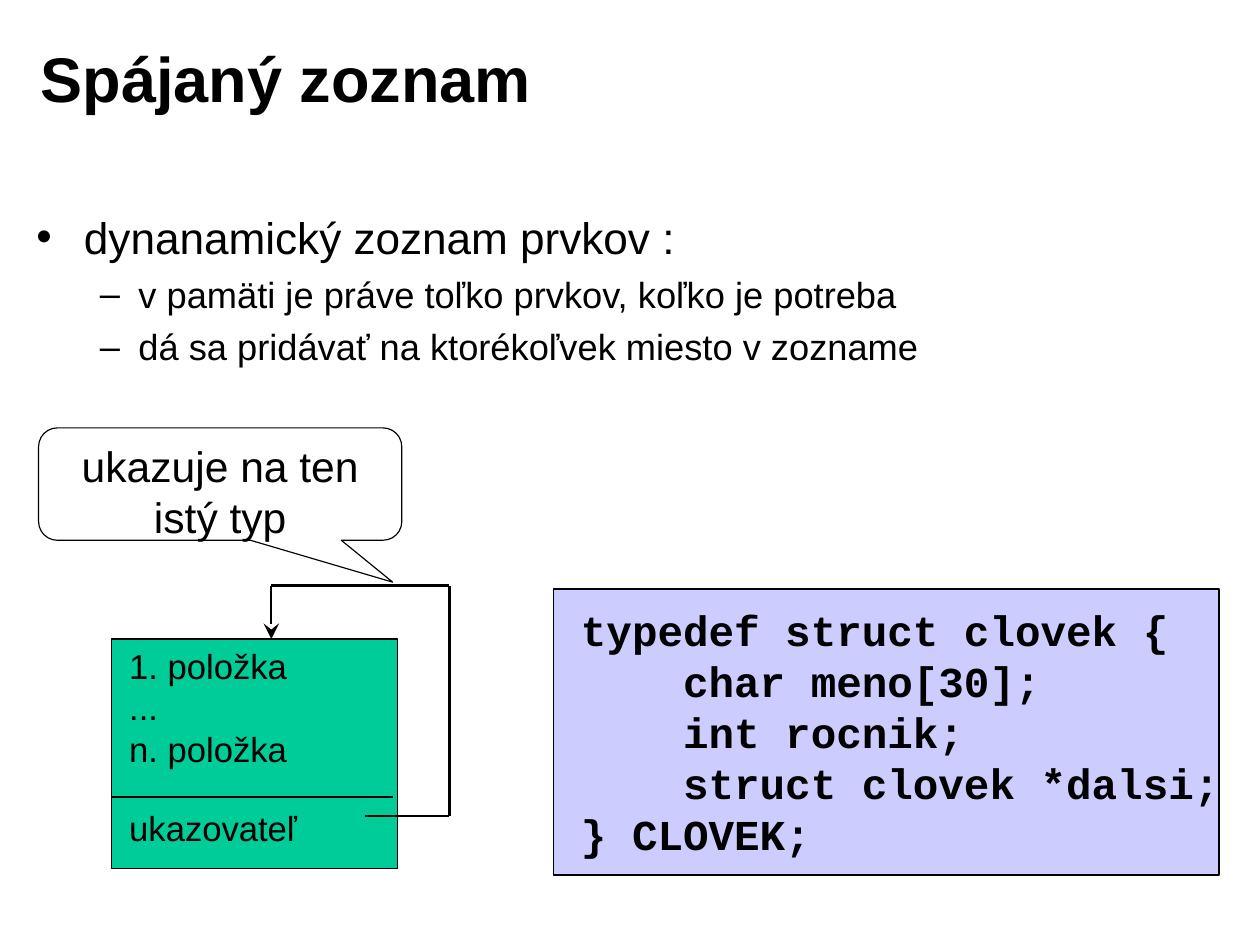
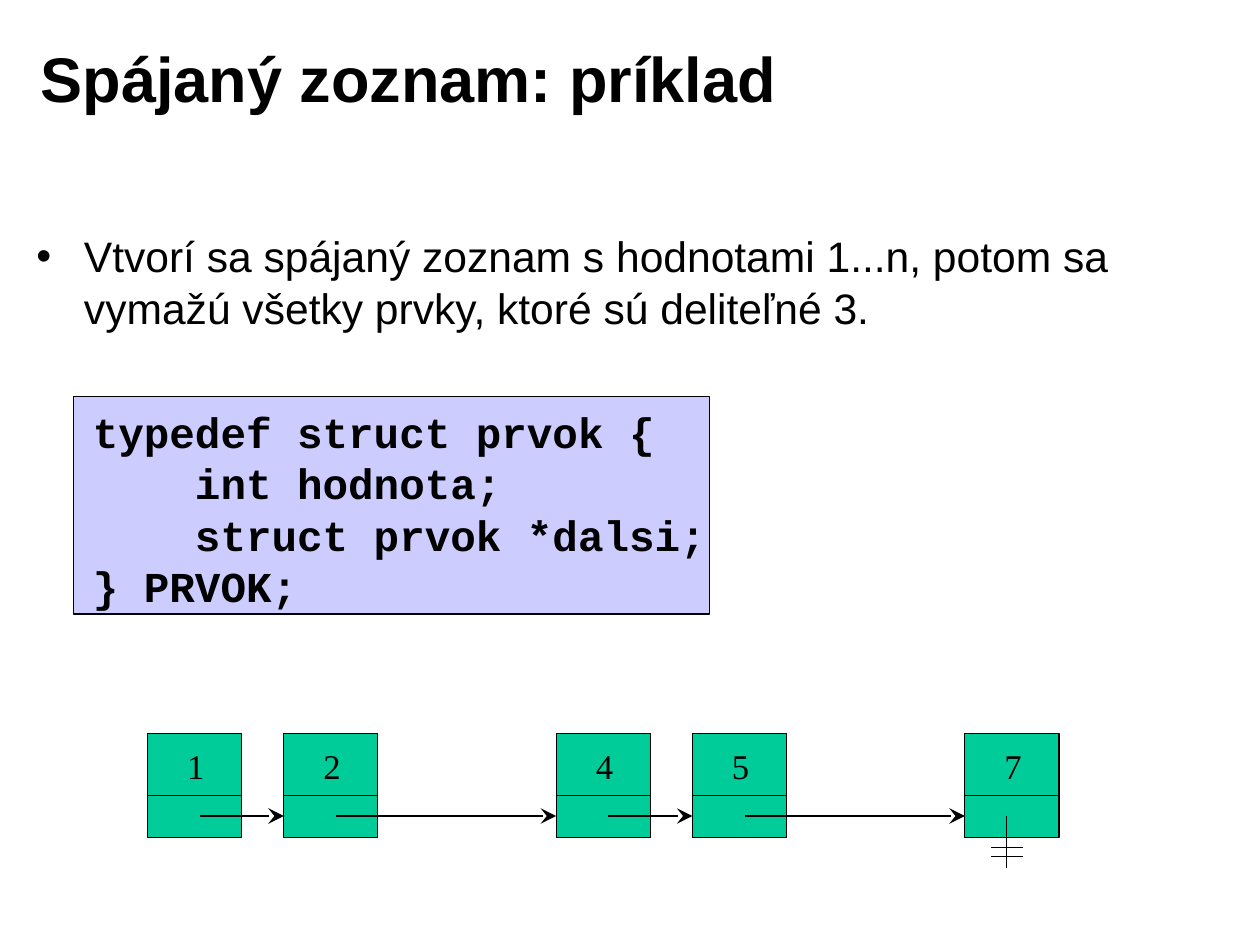
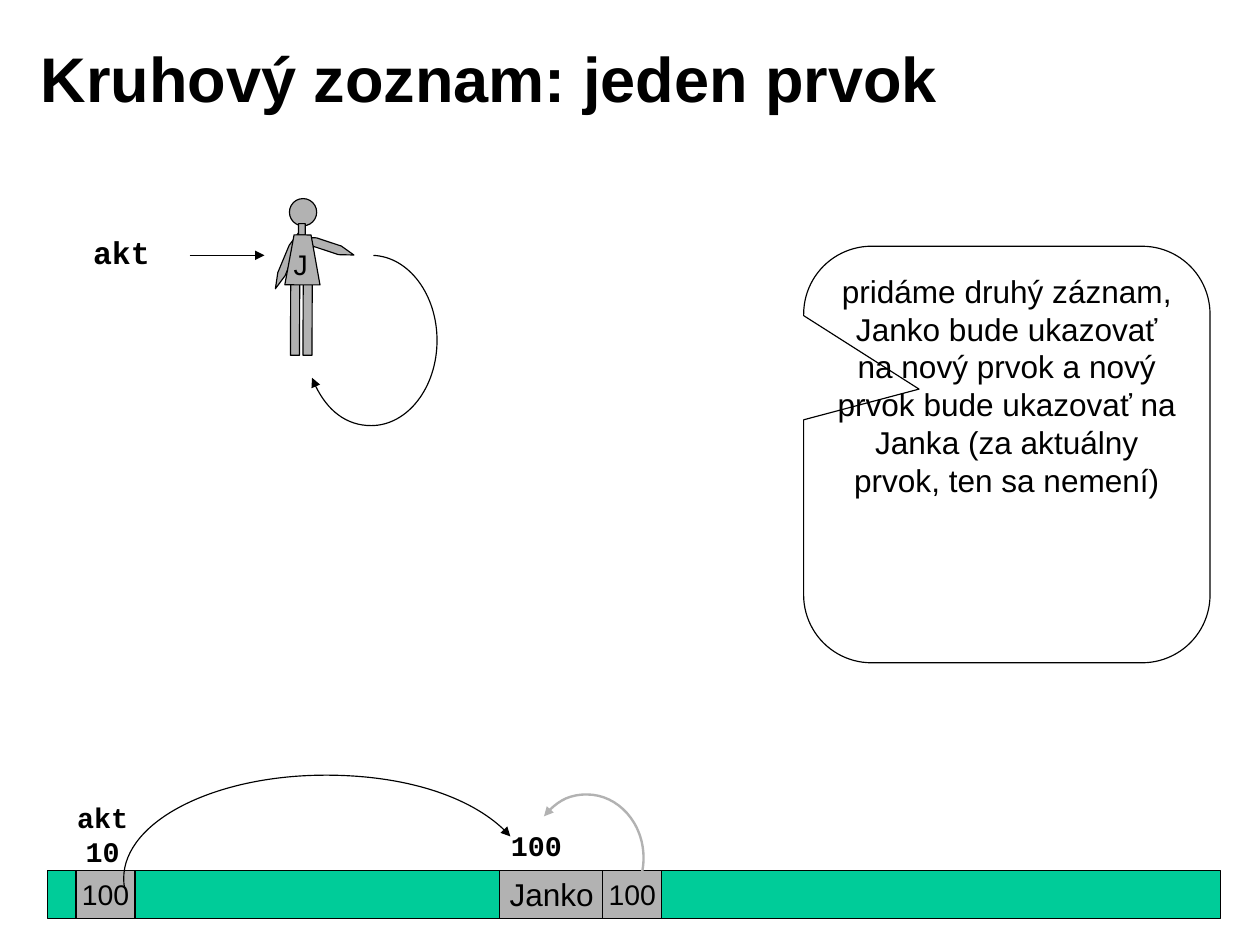
from collections import namedtuple
from dataclasses import dataclass
from itertools import pairwise
from math import ceil, cos, floor, radians, sin, tan

from lxml import etree
from pptx import Presentation
from pptx.dml.color import RGBColor
from pptx.enum import shapes, text
from pptx.oxml import ns
from pptx.util import Inches, Pt

Box = namedtuple("Box", "left top width height")
SHAPE = shapes.MSO_SHAPE
ALIGN = text.PP_ALIGN
ANCHOR = text.MSO_ANCHOR


def font(name, size, bold=False):
    return {"name": name, "size": Pt(size), "bold": bold}


@dataclass(frozen=True)
class Theme:
    ink = RGBColor(0, 0, 0)
    paper = RGBColor(255, 255, 255)
    green = RGBColor(0x00, 0xCC, 0x99)
    lilac = RGBColor(0xCC, 0xCC, 0xFF)
    grey = RGBColor(0xB2, 0xB2, 0xB2)
    thin, medium, thick = 0.75, 1, 1.5
    title = font("Arial", 40, True)
    body = font("Arial", 28)
    large = font("Arial", 27)
    sub_body = font("Arial", 23)
    item = font("Arial", 22)
    note = font("Arial", 20)
    cell = font("Arial", 18)
    digit = font("Times New Roman", 22)
    code = font("Courier New", 27, True)
    variable = font("Courier New", 20, True)
    address = font("Courier New", 18, True)


THEME = Theme()
TITLE_BOX = Box(0.25, 0.17, 8.91, 1.02)
LEVELS = [("•", 0.42, 0.42, 7), ("–", 0.9, 0.34, 5.8)]  # mark, margin, hang, space before


def set_values(target, values):
    for name, value in values.items():
        setattr(target, name, value)


def place(shape, box):
    set_values(shape, {name: Inches(value) for name, value in box._asdict().items()})


def style_font(paragraph, style):
    set_values(paragraph.font, style)
    paragraph.font.color.rgb = THEME.ink


def write(shape, lines, style, align=ALIGN.LEFT, anchor=ANCHOR.TOP,
          insets=(0.1, 0.05, 0.1, 0.05), wrap=True):
    """Fill a shape with one paragraph a line; insets run left, top, right, bottom."""
    frame = shape.text_frame
    left, top, right, bottom = map(Inches, insets)
    set_values(frame, {
        "text": "\n".join(lines), "auto_size": text.MSO_AUTO_SIZE.NONE,
        "word_wrap": wrap, "vertical_anchor": anchor, "margin_left": left,
        "margin_top": top, "margin_right": right, "margin_bottom": bottom})
    for paragraph in frame.paragraphs:
        paragraph.alignment = align
        style_font(paragraph, style)


def add_label(slide, box, lines, style, **options):
    label = slide.shapes.add_textbox(*map(Inches, box))
    write(label, lines, style, **options)
    return label


def paint(shape, fill, line=THEME.ink, width=THEME.thin):
    shape.shadow.inherit = False
    if fill is None:
        shape.fill.background()
    else:
        shape.fill.solid()
        shape.fill.fore_color.rgb = fill
    shape.line.color.rgb = line
    shape.line.width = Pt(width)


def add_block(slide, box, fill, kind=SHAPE.RECTANGLE, line=THEME.ink):
    block = slide.shapes.add_shape(kind, *map(Inches, box))
    paint(block, fill, line)
    return block


def add_arrowhead(shape, head):
    size = "lg" if head == "stealth" else "med"
    outline = shape.element.spPr.find(ns.qn("a:ln"))
    etree.SubElement(outline, ns.qn("a:tailEnd"), type=head, w=size, len=size)


def add_line(slide, start, end, width=THEME.thin, head=None):
    line = slide.shapes.add_connector(
        shapes.MSO_CONNECTOR.STRAIGHT, *map(Inches, (*start, *end)))
    line.line.color.rgb = THEME.ink
    line.line.width = Pt(width)
    if head:
        add_arrowhead(line, head)
    etree.SubElement(line.element.spPr, ns.qn("a:effectLst"))


def add_outline(slide, points, close):
    corners = [(Inches(x), Inches(y)) for x, y in points]
    builder = slide.shapes.build_freeform(*corners[0])
    builder.add_line_segments(corners[1:], close=close)
    return builder.convert_to_shape()


def arc_points(center, radius, start, end):
    """Give the start and then the three Bézier points of each part of a quadrant."""
    low, high = sorted((start, end))
    quadrants = [90 * i for i in range(floor(low / 90) + 1, ceil(high / 90))]
    stops = sorted([low, *quadrants, high], reverse=start > end)

    def point(angle, pull=0):
        x, y = cos(angle) - pull * sin(angle), sin(angle) + pull * cos(angle)
        return center[0] + radius[0] * x, center[1] + radius[1] * y

    points = [point(radians(start))]
    for first, last in pairwise(map(radians, stops)):
        pull = 4 / 3 * tan((last - first) / 4)
        points += [point(first, pull), point(last, -pull), point(last)]
    return points


def curve_segments(shape):
    """Join every three straight segments of an outline into one Bézier curve."""
    segments = list(shape.element.iter(ns.qn("a:lnTo")))
    for first in range(0, len(segments), 3):
        curve = etree.Element(ns.qn("a:cubicBezTo"))
        segments[first].addprevious(curve)
        for segment in segments[first:first + 3]:
            curve.append(segment[0])
            segment.getparent().remove(segment)


def add_arc_arrow(slide, center, radius, start, end, color=THEME.ink, width=THEME.thin):
    """Draw part of an ellipse; angles in degrees, clockwise from the right."""
    arc = add_outline(slide, arc_points(center, radius, start, end), close=False)
    curve_segments(arc)
    paint(arc, None, color, width)
    add_arrowhead(arc, "triangle")


def add_callout(slide, box, message, style, pointer, insets):
    callout = add_block(slide, box, THEME.paper, SHAPE.ROUNDED_RECTANGULAR_CALLOUT)
    for index, value in enumerate((*pointer, 0.167)):
        callout.adjustments[index] = value
    write(callout, [message], style, align=ALIGN.CENTER, insets=insets)


def add_code_panel(slide, box, lines, offset):
    add_block(slide, box, THEME.lilac)
    code_box = box._replace(left=box.left + offset[0], top=box.top + offset[1])
    add_label(slide, code_box, lines, THEME.code, insets=(0.1, 0.05, 0, 0.05))


def add_titled_slide(presentation, title, layout="Title Only"):
    slide = presentation.slides.add_slide(presentation.slide_layouts.get_by_name(layout))
    write(slide.shapes.title, [title], THEME.title, anchor=ANCHOR.MIDDLE,
          insets=(0.11, 0.06, 0.11, 0.06))
    return slide


def fill_list(slide, box, entries):
    """Write (level, wording, style) entries into the body placeholder."""
    body = slide.placeholders[1]
    place(body, box)
    write(body, [wording for _, wording, _ in entries], THEME.body,
          insets=(0.11, 0.06, 0.11, 0.06))
    for index, (level, _, style) in enumerate(entries):
        mark, margin, hang, space = LEVELS[level]
        paragraph = body.text_frame.paragraphs[index]
        paragraph.level = level
        paragraph.space_before = Pt(space if index else 0)
        properties = paragraph._p.get_or_add_pPr()
        properties.set("marL", str(Inches(margin)))
        properties.set("indent", str(-Inches(hang)))
        etree.SubElement(properties, ns.qn("a:buFont"), typeface="Arial")
        etree.SubElement(properties, ns.qn("a:buChar"), char=mark)
        style_font(paragraph, style)


def add_record(slide, box):
    """Draw a record whose pointer leads back to its own top."""
    add_block(slide, box, THEME.green)
    divider, text_left = box.top + 1.39, box.left + 0.06
    add_line(slide, (box.left, divider), (box.left + 2.48, divider), THEME.thick)
    add_label(slide, Box(text_left, divider + 0.04, 1.77, 0.47), ["ukazovateľ"],
              THEME.item)
    add_label(slide, Box(text_left, box.top, 1.71, 1.2),
              ["1. položka", "...", "n. položka"], THEME.item)
    right, above, target = box.left + 2.98, box.top - 0.47, box.left + 1.41
    pointer = box.top + 1.56
    route = [(box.left + 2.24, pointer), (right, pointer), (right, above),
             (target, above), (target, box.top)]
    for start, end in pairwise(route):
        add_line(slide, start, end, THEME.thick, "stealth" if end == route[-1] else None)


def add_chain(slide, box, pitch, count, removed):
    """Draw a chain of count nodes, box being the first, and bridge the removed ones."""
    lefts = [box.left + pitch * slot for slot in range(count)]
    divider, pointer = box.top + 0.55, box.top + 0.73
    for value, left in enumerate(lefts, start=1):
        if value not in removed:
            add_block(slide, box._replace(left=left), THEME.green)
            add_line(slide, (left, divider), (left + box.width, divider))
            digit = add_label(slide, Box(left + 0.25, box.top + 0.05, 0.35, 0.47),
                              [str(value)], THEME.digit, wrap=False)
            digit.fill.solid()
            digit.fill.fore_color.rgb = THEME.green
    for left, following in pairwise(lefts):
        add_line(slide, (left + 0.46, pointer), (following, pointer),
                 THEME.medium, "stealth")
    end = lefts[-1] + 0.37
    add_line(slide, (end, pointer), (end, pointer + 0.46))
    for drop in (0.28, 0.36):
        add_line(slide, (end - 0.14, pointer + drop), (end + 0.14, pointer + drop))
    for value in removed:
        left = lefts[value - 1] - 0.2
        add_block(slide, Box(left, box.top - 0.47, 1.2, 1.84), THEME.paper,
                  line=THEME.paper)
        add_line(slide, (left - 0.1, pointer), (left + 1.28, pointer))


def add_person(slide, left, top):
    parts = [
        (SHAPE.HEXAGON, Box(0, 0.51, 0.54, 0.07), 292.6, 1.99),
        (SHAPE.HEXAGON, Box(0.38, 0.38, 0.49, 0.08), 18.3, 1.62),
        (SHAPE.OVAL, Box(0.29, 0, 0.24, 0.24), 0.2, None),
        (SHAPE.RECTANGLE, Box(0.3, 0.71, 0.08, 0.67), 0.2, None),
        (SHAPE.RECTANGLE, Box(0.41, 0.71, 0.08, 0.67), 0.2, None),
        (SHAPE.RECTANGLE, Box(0.37, 0.22, 0.06, 0.1), 0.2, None),
    ]
    for kind, box, rotation, taper in parts:
        part = add_block(slide, box._replace(left=left + box.left, top=top + box.top),
                         THEME.grey, kind)
        part.rotation = rotation
        if taper:
            part.adjustments[0] = taper
    corners = [(0.25, 0.76), (0.33, 0.32), (0.48, 0.32), (0.56, 0.76)]
    dress = add_outline(slide, [(left + x, top + y) for x, y in corners], close=True)
    paint(dress, THEME.grey)
    dress.rotation = 0.2


def add_memory(slide, box):
    add_block(slide, box, THEME.green)
    cells = [(0.25, 0.52, "100", THEME.cell), (3.98, 0.92, "Janko", THEME.note),
             (4.89, 0.52, "100", THEME.cell)]
    for offset, width, value, style in cells:
        cell = add_block(slide, box._replace(left=box.left + offset, width=width),
                         THEME.grey)
        write(cell, [value], style, align=ALIGN.CENTER, anchor=ANCHOR.MIDDLE, wrap=False)
    labels = [(0.16, -0.67, 0.7, ["akt", "10"]), (3.98, -0.42, 0.4, ["100"])]
    for offset, rise, height, lines in labels:
        add_label(slide, Box(box.left + offset, box.top + rise, 0.65, height), lines,
                  THEME.address, align=ALIGN.CENTER, wrap=False)
    add_arc_arrow(slide, (box.left + 2.45, box.top + 0.07), (1.78, 0.91), 175, 336)
    add_arc_arrow(slide, (box.left + 4.75, box.top - 0.11), (0.5, 0.56), 14.5, -139,
                  THEME.grey, THEME.thick)


def build_list_slide(presentation):
    slide = add_titled_slide(presentation, "Spájaný zoznam", "Title and Content")
    fill_list(slide, Box(0.21, 1.79, 10.66, 2.09), [
        (0, "dynanamický zoznam prvkov :", THEME.body),
        (1, "v pamäti je práve toľko prvkov, koľko je potreba", THEME.sub_body),
        (1, "dá sa pridávať na ktorékoľvek miesto v zozname", THEME.sub_body)])
    add_code_panel(slide, Box(4.88, 5.19, 5.86, 2.52), [
        "typedef struct clovek {", "    char meno[30];", "    int rocnik;",
        "    struct clovek *dalsi;", "} CLOVEK;"], (0.14, 0.08))
    add_record(slide, Box(0.98, 5.63, 2.52, 2.02))
    add_callout(slide, Box(0.34, 3.77, 3.2, 0.99), "ukazuje na ten istý typ",
                THEME.large, (0.475, 0.873), (0.11, 0.06, 0.11, 0.06))


def build_example_slide(presentation):
    slide = add_titled_slide(presentation, "Spájaný zoznam: príklad", "Title and Content")
    add_code_panel(slide, Box(0.65, 3.49, 5.6, 1.92), [
        "typedef struct prvok {", "    int hodnota;", "    struct prvok *dalsi;",
        "} PRVOK;"], (0.07, 0.04))
    fill_list(slide, Box(0.21, 1.97, 10.66, 1.36), [
        (0, "Vtvorí sa spájaný zoznam s hodnotami 1...n, potom sa vymažú všetky "
            "prvky, ktoré sú deliteľné 3.", THEME.large)])
    add_chain(slide, Box(1.3, 6.46, 0.83, 0.92), 1.2, 7, removed=(3, 6))


def build_circular_slide(presentation):
    slide = add_titled_slide(presentation, "Kruhový zoznam: jeden prvok")
    add_person(slide, 2.26, 1.75)
    add_line(slide, (1.67, 2.25), (2.33, 2.25), head="triangle")
    add_label(slide, Box(0.72, 2, 0.7, 0.44), ["akt"], THEME.variable,
              align=ALIGN.CENTER, wrap=False)
    add_memory(slide, Box(0.42, 7.67, 10.33, 0.42))
    add_label(slide, Box(2.49, 2.13, 0.32, 0.4), ["J"], THEME.cell,
              align=ALIGN.CENTER, wrap=False)
    add_callout(slide, Box(7.08, 2.17, 3.58, 3.67),
                "pridáme druhý záznam, Janko bude ukazovať na nový prvok a nový prvok "
                "bude ukazovať na Janka (za aktuálny prvok, ten sa nemení)",
                THEME.note, (-0.216, -0.157), (0.1, 0.05, 0.1, 0.05))
    add_arc_arrow(slide, (3.27, 3), (0.58, 0.75), -88, 154)


def main():
    presentation = Presentation()
    set_values(presentation, {"slide_width": Inches(11.1), "slide_height": Inches(8.3)})
    master_title = next(
        shape for shape in presentation.slide_master.placeholders
        if shape.placeholder_format.type == shapes.PP_PLACEHOLDER.TITLE)
    place(master_title, TITLE_BOX)
    build_list_slide(presentation)
    build_example_slide(presentation)
    build_circular_slide(presentation)
    presentation.save("out.pptx")


if __name__ == "__main__":
    main()
